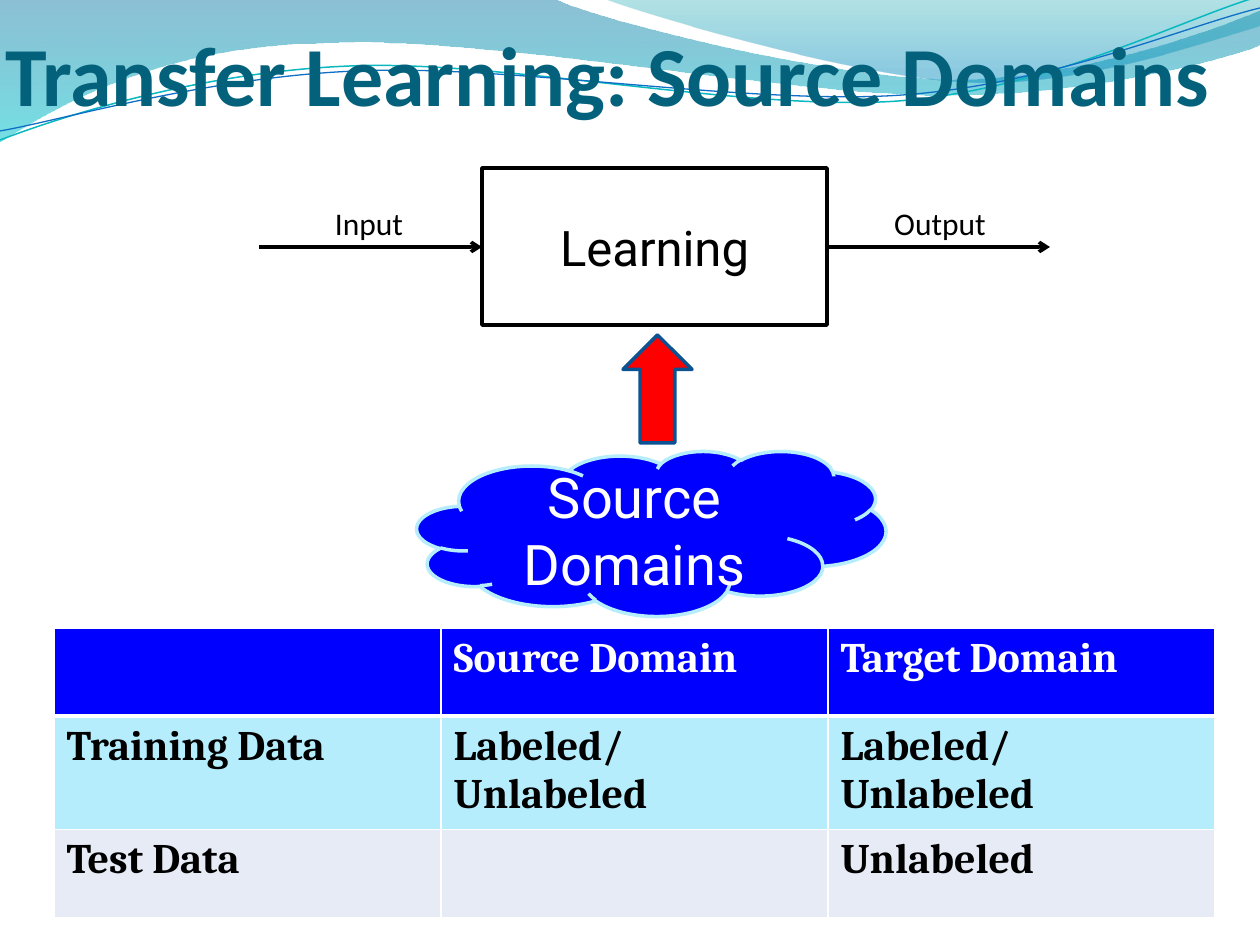
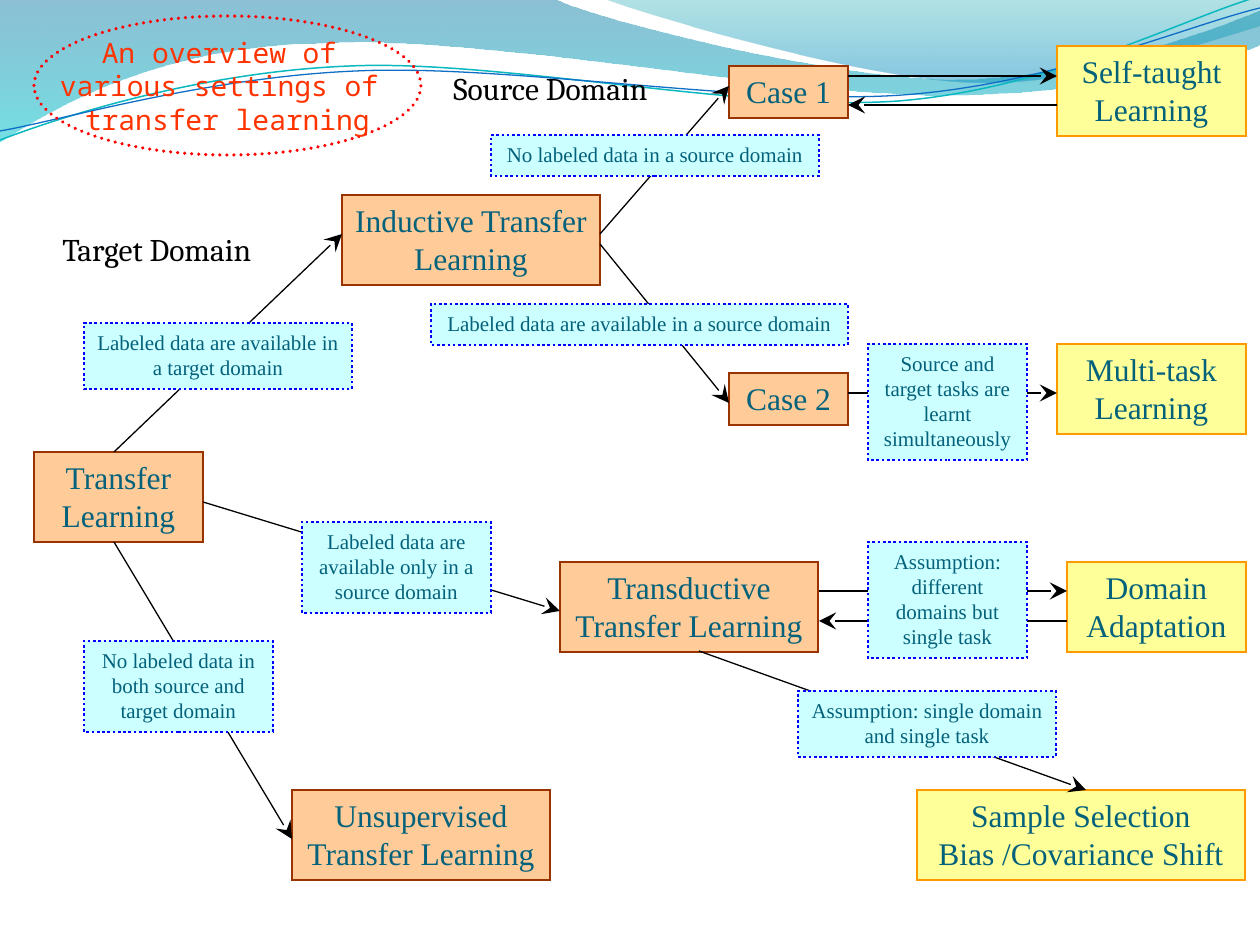
from dataclasses import dataclass

from lxml.etree import SubElement
from pptx import Presentation
from pptx.dml.color import RGBColor
from pptx.enum.dml import MSO_LINE
from pptx.enum.shapes import MSO_CONNECTOR, MSO_SHAPE
from pptx.enum.text import MSO_ANCHOR, PP_ALIGN
from pptx.oxml.ns import qn
from pptx.util import Emu, Pt

PX = 914400 / 126  # EMU in one px
WIDTH, HEIGHT = 1260, 945

COLORS = {
    "title": "04617B", "black": "000000", "white": "FFFFFF",
    "blue": "0000FF", "red": "FF0000", "orange_red": "FF3300",
    "ice": "B5EDFD", "mist": "E7EBF5", "arrow_edge": "0B5292",
    "peach": "FFCC99", "brown": "993300", "lemon": "FFFF99",
    "amber": "FF9900", "pale_cyan": "CCFFFF",
    "wave_deep": "0074A1", "wave_aqua": "00C6CF",
    "wave_teal": "00A1A9", "wave_sky": "008BBF",
    "curve_teal": "0AB8BF", "curve_blue": "0F6FC6",
}


@dataclass(frozen=True)
class TextStyle:
    font: str
    size: int
    color: str
    bold: bool = False
    align: PP_ALIGN = PP_ALIGN.CENTER
    anchor: MSO_ANCHOR = MSO_ANCHOR.TOP
    wrap: bool = True


@dataclass(frozen=True)
class BoxStyle:
    fill: str | None
    line: str
    line_pt: float
    text: TextStyle | None = None
    dash: MSO_LINE | None = None
    cap: str = "flat"
    join: str = "round"


@dataclass(frozen=True)
class Box:
    x: int
    y: int
    w: int
    h: int
    text: str
    style: BoxStyle
    shape: MSO_SHAPE = MSO_SHAPE.RECTANGLE


@dataclass(frozen=True)
class Arrow:
    x1: int
    y1: int
    x2: int
    y2: int


@dataclass(frozen=True)
class Wave:
    """Outline in px: a segment of one point is straight, of three a Bezier."""
    start: tuple
    segments: tuple
    stops: tuple = ()  # (position, color, opacity in percent)
    line: str | None = None
    line_pt: float = 0


WAVES = (
    Wave((0, 0), (((554, -1),),
                  ((600, 21), (837, 79), (955, 79)),
                  ((1075, 79), (1207, 33), (1260, 11)),
                  ((1261, 45),),
                  ((1239, 55), (1096, 96), (940, 95)),
                  ((784, 95), (481, 35), (324, 43)),
                  ((163, 45), (58, 105), (-1, 142))),
         stops=((0, "wave_deep", 45), (1, "wave_aqua", 55))),
    Wave((604, -1), (((641, 14), (859, 78), (969, 82)),
                     ((1079, 87), (1211, 40), (1260, 26)),
                     ((1260, 0),)),
         stops=((0, "wave_teal", 30), (0.8, "wave_sky", 45))),
    Wave((0, 140), (((60, 117), (199, 72), (349, 66)),
                    ((498, 59), (747, 112), (898, 101)),
                    ((1050, 89), (1182, 19), (1257, -3))),
         line="curve_teal", line_pt=0.85),
    Wave((0, 131), (((59, 121), (207, 77), (357, 71)),
                    ((508, 64), (752, 106), (903, 95)),
                    ((1053, 84), (1186, 26), (1260, 8))),
         line="curve_blue", line_pt=0.75),
)

# Text and box styles
TITLE = TextStyle("Calibri", 48, "title", True, PP_ALIGN.LEFT, MSO_ANCHOR.BOTTOM)
FLOW_LABEL = TextStyle("Calibri", 18, "black")
DOMAIN_LABEL = TextStyle("Cambria", 18, "black", align=PP_ALIGN.LEFT,
                         anchor=MSO_ANCHOR.MIDDLE)
HEAD_CELL = TextStyle("Cambria", 24, "white", True, PP_ALIGN.LEFT)
BODY_CELL = TextStyle("Cambria", 24, "black", True, PP_ALIGN.LEFT)
NODE_TEXT = TextStyle("Times New Roman", 18, "title")
NOTE_TEXT = TextStyle("Times New Roman", 12, "title")

LEARNER = BoxStyle(None, "black", 2, TextStyle(
    "Roboto", 28, "black", anchor=MSO_ANCHOR.MIDDLE))
CLOUD = BoxStyle("blue", "ice", 2, TextStyle(
    "Roboto", 32, "white", anchor=MSO_ANCHOR.MIDDLE))
RED_ARROW = BoxStyle("red", "arrow_edge", 2)
SETTING = BoxStyle("peach", "brown", 0.75, NODE_TEXT, join="miter")
OUTCOME = BoxStyle("lemon", "amber", 0.75, NODE_TEXT, join="miter")
CONDITION = BoxStyle("pale_cyan", "blue", 1.5, NOTE_TEXT, MSO_LINE.ROUND_DOT,
                     join="miter")
OVERVIEW = BoxStyle(None, "red", 2, TextStyle(
    "Noto Sans Mono", 16, "orange_red", anchor=MSO_ANCHOR.MIDDLE, wrap=False),
    MSO_LINE.ROUND_DOT, cap="rnd")

# Slide 1 content
FLOW_BOXES = (
    Box(482, 168, 345, 157, "Learning", LEARNER),
    Box(417, 451, 469, 165, "Source Domains", CLOUD, MSO_SHAPE.CLOUD),
    Box(623, 335, 69, 108, "", RED_ARROW, MSO_SHAPE.UP_ARROW),
)
FLOW_ARROWS = (Arrow(259, 247, 482, 247), Arrow(827, 247, 1050, 247))
DATA_ROWS = (
    ("", "Source Domain", "Target Domain"),
    ("Training Data", "Labeled/Unlabeled", "Labeled/Unlabeled"),
    ("Test Data", "", "Unlabeled"),
)
ROW_FILLS = ("blue", "ice", "mist")
ROW_HEIGHTS = (88, 112, 88)
COLUMN_WIDTH = 387

# Slide 2 content
TREE_ARROWS = (
    Arrow(114, 452, 342, 234), Arrow(203, 502, 560, 611),
    Arrow(114, 542, 292, 839), Arrow(600, 234, 729, 86),
    Arrow(600, 244, 729, 403), Arrow(848, 76, 1057, 76),
    Arrow(1057, 105, 848, 105), Arrow(848, 393, 1057, 393),
    Arrow(819, 591, 1067, 591), Arrow(1067, 621, 819, 621),
    Arrow(699, 651, 1086, 790),
)
NODES = (
    Box(34, 452, 169, 90, "Transfer Learning", SETTING),
    Box(342, 195, 258, 90, "Inductive Transfer Learning", SETTING),
    Box(560, 562, 258, 90, "Transductive Transfer Learning", SETTING),
    Box(292, 790, 258, 90, "Unsupervised Transfer Learning", SETTING),
    Box(729, 66, 119, 52, "Case 1", SETTING),
    Box(729, 373, 119, 52, "Case 2", SETTING),
    Box(1057, 46, 189, 90, "Self-taught Learning", OUTCOME),
    Box(1057, 344, 189, 90, "Multi-task Learning", OUTCOME),
    Box(1067, 562, 179, 90, "Domain Adaptation", OUTCOME),
    Box(917, 790, 328, 90, "Sample Selection Bias /Covariance Shift", OUTCOME),
)
NOTES = (
    Box(84, 323, 268, 66, "Labeled data are available in a target domain", CONDITION),
    Box(302, 522, 189, 91, "Labeled data are available only in a source domain",
        CONDITION),
    Box(84, 641, 189, 91, "No labeled data in both source and target domain",
        CONDITION),
    Box(491, 135, 328, 41, "No labeled data in a source domain", CONDITION),
    Box(431, 304, 417, 41, "Labeled data are available in a source domain", CONDITION),
    Box(868, 344, 159, 116, "Source and target tasks are learnt simultaneously",
        CONDITION),
    Box(868, 542, 159, 116, "Assumption: different domains but single task",
        CONDITION),
    Box(798, 691, 258, 66, "Assumption: single domain and single task", CONDITION),
    Box(34, 16, 387, 139, "An overview of \nvarious settings of \ntransfer learning",
        OVERVIEW, MSO_SHAPE.OVAL),
)


def px(*lengths: int) -> list:
    return [Emu(round(length * PX)) for length in lengths]


def rgb(name: str) -> RGBColor:
    return RGBColor.from_string(COLORS[name])


def set_text(tf, text: str, style: TextStyle) -> None:
    tf.text = text
    for p in tf.paragraphs:
        p.alignment = style.align
        for r in p.runs:
            r.font.name, r.font.size = style.font, Pt(style.size)
            r.font.bold = style.bold
            r.font.color.rgb = rgb(style.color)


def set_frame(tf, text: str, style: TextStyle) -> None:
    tf.word_wrap = style.wrap
    tf.vertical_anchor = style.anchor
    set_text(tf, text, style)


def set_line(line, color: str, width: float):
    line.color.rgb = rgb(color)
    line.width = Pt(width)
    return line._get_or_add_ln()


def add_label(s, x: int, y: int, w: int, h: int, text: str, style: TextStyle):
    tf = s.shapes.add_textbox(*px(x, y, w, h)).text_frame
    set_frame(tf, text, style)
    return tf


def add_box(s, box: Box) -> None:
    sp = s.shapes.add_shape(box.shape, *px(box.x, box.y, box.w, box.h))
    sp.shadow.inherit = False
    style = box.style
    if style.fill:
        sp.fill.solid()
        sp.fill.fore_color.rgb = rgb(style.fill)
    else:
        sp.fill.background()
    ln = set_line(sp.line, style.line, style.line_pt)
    if style.dash:
        sp.line.dash_style = style.dash
    ln.set("cap", style.cap)
    SubElement(ln, qn(f"a:{style.join}"))
    if style.text:
        set_frame(sp.text_frame, box.text, style.text)


def add_arrow(s, arrow: Arrow, width: float, head: str, size: str) -> None:
    cx = s.shapes.add_connector(
        MSO_CONNECTOR.STRAIGHT, *px(arrow.x1, arrow.y1, arrow.x2, arrow.y2))
    ln = set_line(cx.line, "black", width)
    SubElement(ln, qn("a:tailEnd"), type=head, w=size, len=size)
    SubElement(cx._element.spPr, qn("a:effectLst"))


def bend(sp, segments: tuple) -> None:
    """Turn the three straight steps of each Bezier segment into one curve."""
    steps = iter(list(sp._element.iter(qn("a:lnTo"))))
    for seg in segments:
        first, *others = [next(steps) for _ in seg]
        if others:
            first.tag = qn("a:cubicBezTo")
            for step in others:
                first.append(step[0])
                step.getparent().remove(step)


def add_wave(s, wave: Wave) -> None:
    builder = s.shapes.build_freeform(*px(*wave.start))
    builder.add_line_segments([px(*pt) for seg in wave.segments for pt in seg],
                              close=bool(wave.stops))
    sp = builder.convert_to_shape()
    bend(sp, wave.segments)
    sp.shadow.inherit = False
    if wave.line:
        sp.fill.background()
        set_line(sp.line, wave.line, wave.line_pt)
        return
    sp.line.fill.background()
    sp.fill.gradient()
    sp.fill.gradient_angle = 270
    for stop, (position, color, _) in zip(sp.fill.gradient_stops, wave.stops):
        stop.position = position
        stop.color.rgb = rgb(color)
    for clr, (_, _, opacity) in zip(sp._element.iter(qn("a:srgbClr")), wave.stops):
        SubElement(clr, qn("a:alpha"), val=str(opacity * 1000))


def set_borders(cell, widths: dict) -> None:
    tc_pr = cell._tc.get_or_add_tcPr()
    for i, (side, width) in enumerate(widths.items()):
        ln = SubElement(tc_pr, qn(f"a:ln{side}"), w=str(Pt(width)))
        fill = SubElement(ln, qn("a:solidFill"))
        SubElement(fill, qn("a:srgbClr"), val=COLORS["white"])
        tc_pr.insert(i, ln)


def add_data_table(s) -> None:
    rows, cols = len(DATA_ROWS), len(DATA_ROWS[0])
    table = s.shapes.add_table(
        rows, cols, *px(54, 628, cols * COLUMN_WIDTH, sum(ROW_HEIGHTS))).table
    for column in table.columns:
        column.width = px(COLUMN_WIDTH)[0]
    for i, texts in enumerate(DATA_ROWS):
        table.rows[i].height = px(ROW_HEIGHTS[i])[0]
        for j, text in enumerate(texts):
            cell = table.cell(i, j)
            cell.fill.solid()
            cell.fill.fore_color.rgb = rgb(ROW_FILLS[i])
            set_borders(cell, {"L": 1, "R": 1, "T": 3 if i == 1 else 1,
                               "B": 3 if i == 0 else 1})
            set_text(cell.text_frame, text, BODY_CELL if i else HEAD_CELL)


def new_slide(prs):
    s = prs.slides.add_slide(prs.slide_layouts[6])
    for wave in WAVES:
        add_wave(s, wave)
    return s


def build_source_domains(prs) -> None:
    s = new_slide(prs)
    tf = add_label(s, 5, 26, 1240, 97, "Transfer Learning: Source Domains", TITLE)
    tf.margin_left = tf.margin_right = tf.margin_bottom = 0
    for box in FLOW_BOXES:
        add_box(s, box)
    for arrow in FLOW_ARROWS:
        add_arrow(s, arrow, 2, "arrow", "med")
    for x, text in ((285, "Input"), (856, "Output")):
        add_label(s, x, 198, 168, 50, text, FLOW_LABEL)
    add_data_table(s)


def build_overview(prs) -> None:
    s = new_slide(prs)
    for node in NODES:
        add_box(s, node)
    for arrow in TREE_ARROWS:
        add_arrow(s, arrow, 0.75, "stealth", "lg")
    for note in NOTES:
        add_box(s, note)
    add_label(s, 50, 224, 262, 50, "Target Domain", DOMAIN_LABEL)
    add_label(s, 441, 63, 267, 50, "Source Domain", DOMAIN_LABEL)


def main() -> None:
    prs = Presentation()
    prs.slide_width, prs.slide_height = px(WIDTH, HEIGHT)
    build_source_domains(prs)
    build_overview(prs)
    prs.save("out.pptx")


if __name__ == "__main__":
    main()
